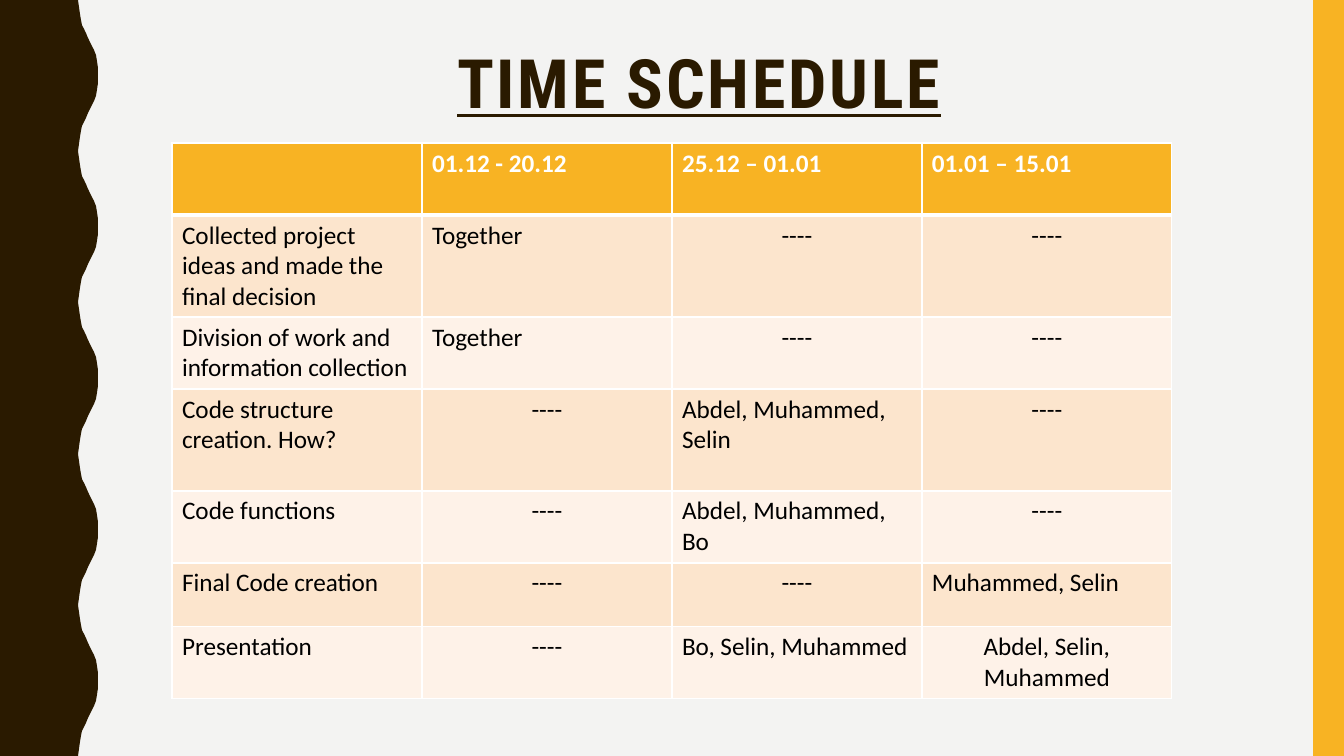
"""Build the time schedule slide."""
from lxml import etree
from pptx import Presentation
from pptx.dml.color import RGBColor
from pptx.enum.shapes import MSO_SHAPE
from pptx.enum.text import MSO_ANCHOR, PP_ALIGN
from pptx.oxml.ns import qn
from pptx.util import Pt

RECTANGLE = MSO_SHAPE.RECTANGLE
TOP = MSO_ANCHOR.TOP
LEFT, CENTER = PP_ALIGN.LEFT, PP_ALIGN.CENTER

WIDTH, HEIGHT = 1344, 756
SCALE = 12192000 / WIDTH
COLORS = {
    "background": "F3F3F2",
    "brown": "2A1A00",
    "gold": "F8B323",
    "odd_row": "FCE5CD",
    "even_row": "FEF2E8",
    "white": "FFFFFF",
    "black": "000000",
}
CRESTS = 5
HALF_WAVE = [(0, 0), (1, 7), (2, 14), (3, 20), (4, 25), (6, 29), (8, 33), (10, 38),
             (12, 42), (14, 46), (16, 50), (18, 55), (19, 61), (20, 68)]
NONE = "----"
ROW_HEIGHTS = [72, 102, 72, 102, 72, 64, 72]
SCHEDULE = [
    ["", "01.12 - 20.12", "25.12 – 01.01", "01.01 – 15.01"],
    ["Collected project ideas and made the final decision", "Together", NONE, NONE],
    ["Division of work and information collection", "Together", NONE, NONE],
    ["Code structure creation. How?", NONE, "Abdel, Muhammed, Selin", NONE],
    ["Code functions", NONE, "Abdel, Muhammed, Bo", NONE],
    ["Final Code creation", NONE, NONE, "Muhammed, Selin"],
    ["Presentation", NONE, "Bo, Selin, Muhammed", "Abdel, Selin, Muhammed"],
]
CENTERED = {NONE, "Abdel, Selin, Muhammed"}


def px(length):
    """Turn px into EMU."""
    return round(length * SCALE)


def color(name):
    """Look up a named colour."""
    return RGBColor.from_string(COLORS[name])


def paint(shape, name):
    """Give a shape a flat fill without line or shadow."""
    shape.shadow.inherit = False
    shape.fill.solid()
    shape.fill.fore_color.rgb = color(name)
    shape.line.fill.background()


def add_wave(slide, left, top, width, height):
    """Draw the brown band with its wavy right edge."""
    period = height / CRESTS
    depth = HALF_WAVE[-1][0]
    trough = left + width - depth
    edge = []
    for crest in range(CRESTS):
        start = top + crest * period
        edge += [(trough + x, start + y) for x, y in HALF_WAVE]
        edge.append((trough + depth, start + period / 2))
        edge += [(trough + x, start + period - y) for x, y in reversed(HALF_WAVE)]
    builder = slide.shapes.build_freeform(left, top, SCALE)
    builder.add_line_segments(edge + [(left, top + height)], close=True)
    paint(builder.convert_to_shape(), "brown")


def add_stripe(slide, left, top, width, height):
    """Draw the gold stripe."""
    box = [px(length) for length in (left, top, width, height)]
    paint(slide.shapes.add_shape(RECTANGLE, *box), "gold")


def add_title(slide, left, top, width, height):
    """Write the underlined title."""
    box = [px(length) for length in (left, top, width, height)]
    frame = slide.shapes.add_textbox(*box).text_frame
    frame.word_wrap = True
    frame.vertical_anchor = TOP
    frame.margin_top = frame.margin_bottom = 0
    paragraph = frame.paragraphs[0]
    paragraph.alignment = CENTER
    paragraph.line_spacing = 0.9
    run = paragraph.add_run()
    run.text = "TIME SCHEDULE"
    font = run.font
    font.name, font.size = "Roboto Condensed", Pt(48.6)
    font.bold = font.underline = True
    font.color.rgb = color("brown")
    run._r.get_or_add_rPr().set("spc", "200")


def set_borders(cell, bottom):
    """Draw white cell borders, with the bottom width in points."""
    properties = cell._tc.get_or_add_tcPr()
    widths = {"a:lnL": 1, "a:lnR": 1, "a:lnT": 1, "a:lnB": bottom}
    for index, (side, width) in enumerate(widths.items()):
        line = etree.Element(qn(side), w=str(Pt(width)))
        fill = etree.SubElement(line, qn("a:solidFill"))
        etree.SubElement(fill, qn("a:srgbClr"), val=COLORS["white"])
        properties.insert(index, line)


def fill_cell(cell, text, row):
    """Write and style one cell of the given row."""
    header = row == 0
    cell.text = text
    cell.fill.solid()
    band = "odd_row" if row % 2 else "even_row"
    cell.fill.fore_color.rgb = color("gold" if header else band)
    set_borders(cell, 3 if row < 1 else 1)
    paragraph = cell.text_frame.paragraphs[0]
    paragraph.alignment = CENTER if text in CENTERED else LEFT
    font = paragraph.font
    font.name, font.size, font.bold = "Calibri", Pt(18), header
    font.color.rgb = color("white" if header else "black")


def add_schedule(slide, left, top, width):
    """Lay out the schedule table."""
    columns = len(SCHEDULE[0])
    frame = slide.shapes.add_table(len(SCHEDULE), columns, px(left), px(top),
                                   px(width), px(sum(ROW_HEIGHTS)))
    table = frame.table
    for column in table.columns:
        column.width = px(width / columns)
    for row, (height, texts) in enumerate(zip(ROW_HEIGHTS, SCHEDULE)):
        table.rows[row].height = px(height)
        for column, text in enumerate(texts):
            fill_cell(table.cell(row, column), text, row)


def main():
    """Build and save the presentation."""
    presentation = Presentation()
    presentation.slide_width, presentation.slide_height = px(WIDTH), px(HEIGHT)
    slide = presentation.slides.add_slide(presentation.slide_layouts[6])
    slide.background.fill.solid()
    slide.background.fill.fore_color.rgb = color("background")
    add_wave(slide, 0, 0, 98, HEIGHT)
    add_stripe(slide, WIDTH - 31, 0, 31, HEIGHT)
    add_title(slide, 138, 50, 1122, 80)
    add_schedule(slide, 172, 143, 1000)
    presentation.save("out.pptx")


if __name__ == "__main__":
    main()
